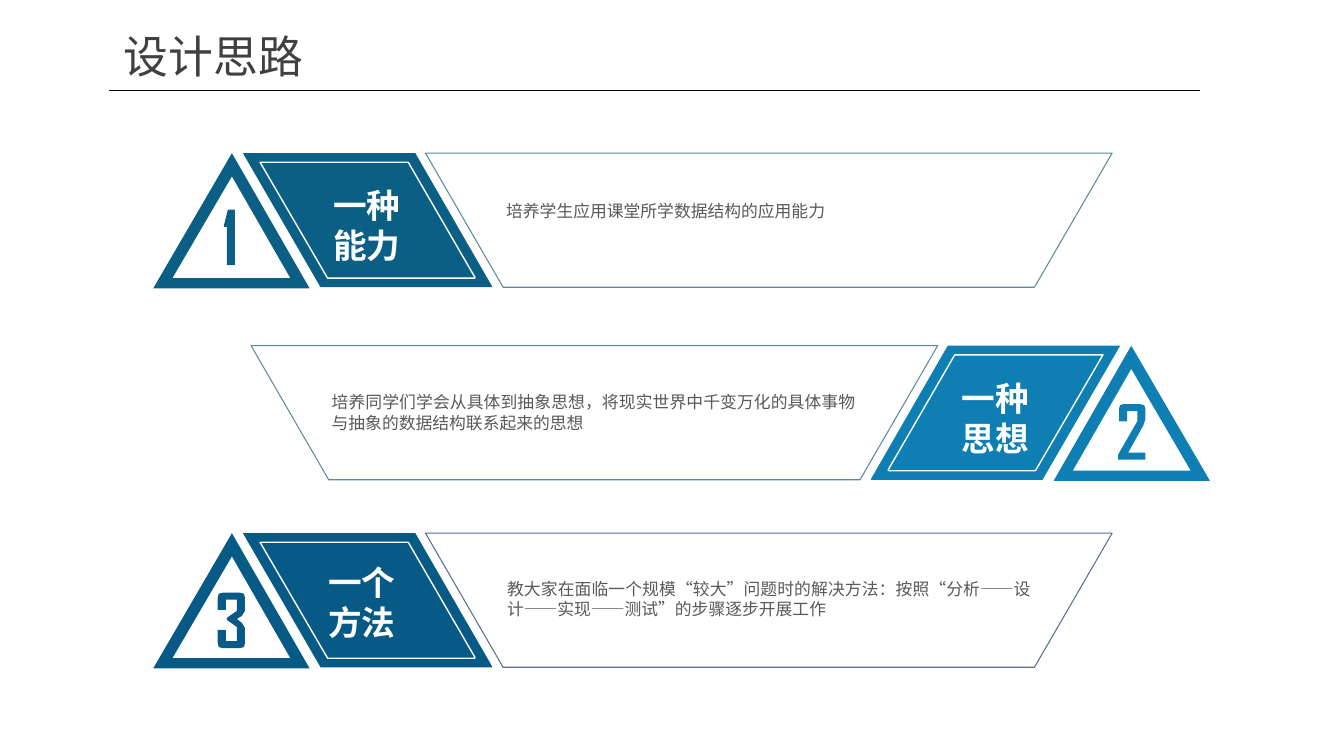
from lxml import etree
from pptx import Presentation
from pptx.dml.color import RGBColor
from pptx.enum.shapes import MSO_CONNECTOR
from pptx.enum.text import PP_ALIGN
from pptx.oxml.ns import qn
from pptx.util import Inches, Pt

STRAIGHT = MSO_CONNECTOR.STRAIGHT
LEFT, CENTER, JUSTIFY = PP_ALIGN.LEFT, PP_ALIGN.CENTER, PP_ALIGN.JUSTIFY
FONT = "Noto Sans CJK SC"
WHITE = RGBColor(0xFF, 0xFF, 0xFF)
BLACK = RGBColor(0x00, 0x00, 0x00)
TITLE_GRAY = RGBColor(0x40, 0x40, 0x40)
BODY_GRAY = RGBColor(0x59, 0x59, 0x59)
TEAL = RGBColor(0x0B, 0x5F, 0x84)
BLUE = RGBColor(0x0F, 0x7E, 0xB3)
NAVY = RGBColor(0x07, 0x59, 0x86)
PALE_TEAL = RGBColor(0x5A, 0x88, 0x9E)
PALE_NAVY = RGBColor(0x5A, 0x6C, 0x90)

MIRROR_WIDTH = 13.52
TRIANGLE = [[(2.3, 0.23), (1.71, 1.24), (2.88, 1.24)],
            [(2.3, 0), (3.07, 1.34), (1.52, 1.34)]]
TAG = [[(2.41, 0), (4.12, 0), (4.88, 1.32), (4.88, 1.33), (3.18, 1.33)]]
TAG_FRAME = [[(2.58, 0.09), (4.05, 0.09), (4.71, 1.23), (4.71, 1.24), (3.25, 1.24)]]
PANEL = [[(4.22, 0), (11.03, 0), (10.26, 1.33), (4.99, 1.33)]]
ONE = [(0.11, 0.55), (0.03, 0.55), (0.03, 0.17), (0, 0.17), (0, 0.16), (0.04, 0), (0.11, 0)]
TWO = [(0.27, 0.15), (0.25, 0.21), (0.1, 0.48), (0.27, 0.48), (0.27, 0.55), (0, 0.55),
       (0, 0.5), (0.19, 0.17), (0.19, 0.07), (0.09, 0.07), (0.09, 0.17), (0.01, 0.17),
       (0.01, 0.04), (0.02, 0.01), (0.05, 0), (0.22, 0), (0.26, 0.01), (0.27, 0.05)]
THREE = [(0.27, 0.5), (0.26, 0.54), (0.22, 0.55), (0.05, 0.55), (0.01, 0.54), (0, 0.5),
         (0, 0.37), (0.08, 0.37), (0.08, 0.48), (0.19, 0.48), (0.19, 0.34), (0.09, 0.27),
         (0.09, 0.25), (0.19, 0.18), (0.19, 0.07), (0.08, 0.07), (0.08, 0.17), (0, 0.17),
         (0, 0.05), (0.01, 0.01), (0.05, 0), (0.22, 0), (0.26, 0.01), (0.27, 0.05),
         (0.27, 0.18), (0.24, 0.23), (0.19, 0.26), (0.24, 0.3), (0.27, 0.35)]

ROWS = [
    dict(top=1.52, mirrored=False, color=TEAL, edge=PALE_TEAL,
         digit=ONE, digit_at=(2.22, 2.08), label=["一种", "能力"], label_at=(3.09, 1.83),
         body="培养学生应用课堂所学数据结构的应用能力", body_box=(5.02, 1.99, 5.21, 0.2)),
    dict(top=3.43, mirrored=True, color=BLUE, edge=PALE_TEAL,
         digit=TWO, digit_at=(11.09, 4.01), label=["一种", "思想"], label_at=(9.32, 3.75),
         body="培养同学们学会从具体到抽象思想，将现实世界中千变万化的具体事物与抽象的数据结构联系起来的思想",
         body_box=(3.29, 3.89, 5.2, 0.4)),
    dict(top=5.29, mirrored=False, color=NAVY, edge=PALE_NAVY,
         digit=THREE, digit_at=(2.16, 5.88), label=["一个", "方法"], label_at=(3.04, 5.57),
         body="教大家在面临一个规模“较大”问题时的解决方法：按照“分析——设计——实现——测试”的步骤逐步开展工作",
         body_box=(5.03, 5.74, 5.2, 0.4)),
]

deck = Presentation()
deck.slide_width, deck.slide_height = Inches(13.33), Inches(7.5)
page = deck.slides.add_slide(deck.slide_layouts[6])


def add_text(lines, place, size, color, align=LEFT, bold=False, wrap=True, inset=0):
    box = page.shapes.add_textbox(*map(Inches, place))
    frame = box.text_frame
    frame.word_wrap = wrap
    frame.margin_left = frame.margin_right = Inches(inset)
    frame.margin_top = frame.margin_bottom = Inches(inset / 2)
    for index, line in enumerate(lines):
        para = frame.paragraphs[0] if index == 0 else frame.add_paragraph()
        para.alignment = align
        span = para.add_run()
        span.text = line
        span.font.size, span.font.bold, span.font.name = Pt(size), bold, FONT
        span.font.color.rgb = color
        etree.SubElement(span.font._element, qn("a:ea"), typeface=FONT)


def add_outline(contours, left=0, top=0, mirrored=False, fill=None, line=None, width=1):
    placed = [[(Inches(MIRROR_WIDTH - x if mirrored else left + x), Inches(top + y))
               for x, y in contour] for contour in contours]
    builder = page.shapes.build_freeform(*placed[0][0])
    builder.add_line_segments(placed[0][1:], close=True)
    for contour in placed[1:]:
        builder.move_to(*contour[0])
        builder.add_line_segments(contour[1:], close=True)
    shape = builder.convert_to_shape()
    shape.shadow.inherit = False
    if fill is None:
        shape.fill.background()
    else:
        shape.fill.solid()
        shape.fill.fore_color.rgb = fill
    if line is None:
        shape.line.fill.background()
    else:
        shape.line.color.rgb = line
        shape.line.width = Pt(width)


add_text(["设计思路"], (1.13, 0.24, 2, 0.64), 32, TITLE_GRAY, wrap=False, inset=0.1)
rule = page.shapes.add_connector(STRAIGHT, Inches(1.08), Inches(0.9), Inches(11.9), Inches(0.9))
rule.line.color.rgb = BLACK
rule.line.width = Pt(0.75)
etree.SubElement(rule._element.spPr, qn("a:effectLst"))

for row in ROWS:
    side = dict(top=row["top"], mirrored=row["mirrored"])
    add_outline(PANEL, line=row["edge"], width=0.75, **side)
    add_outline(TAG, fill=row["color"], **side)
    add_outline(TAG_FRAME, fill=row["color"], line=WHITE, **side)
    add_outline(TRIANGLE, fill=row["color"], **side)
    digit_left, digit_top = row["digit_at"]
    add_outline([row["digit"]], left=digit_left, top=digit_top, fill=row["color"])
    add_text(row["label"], (*row["label_at"], 1.1, 0.38), 24, WHITE, align=CENTER, bold=True)
    add_text([row["body"]], row["body_box"], 12, BODY_GRAY, align=JUSTIFY)

deck.save("out.pptx")
